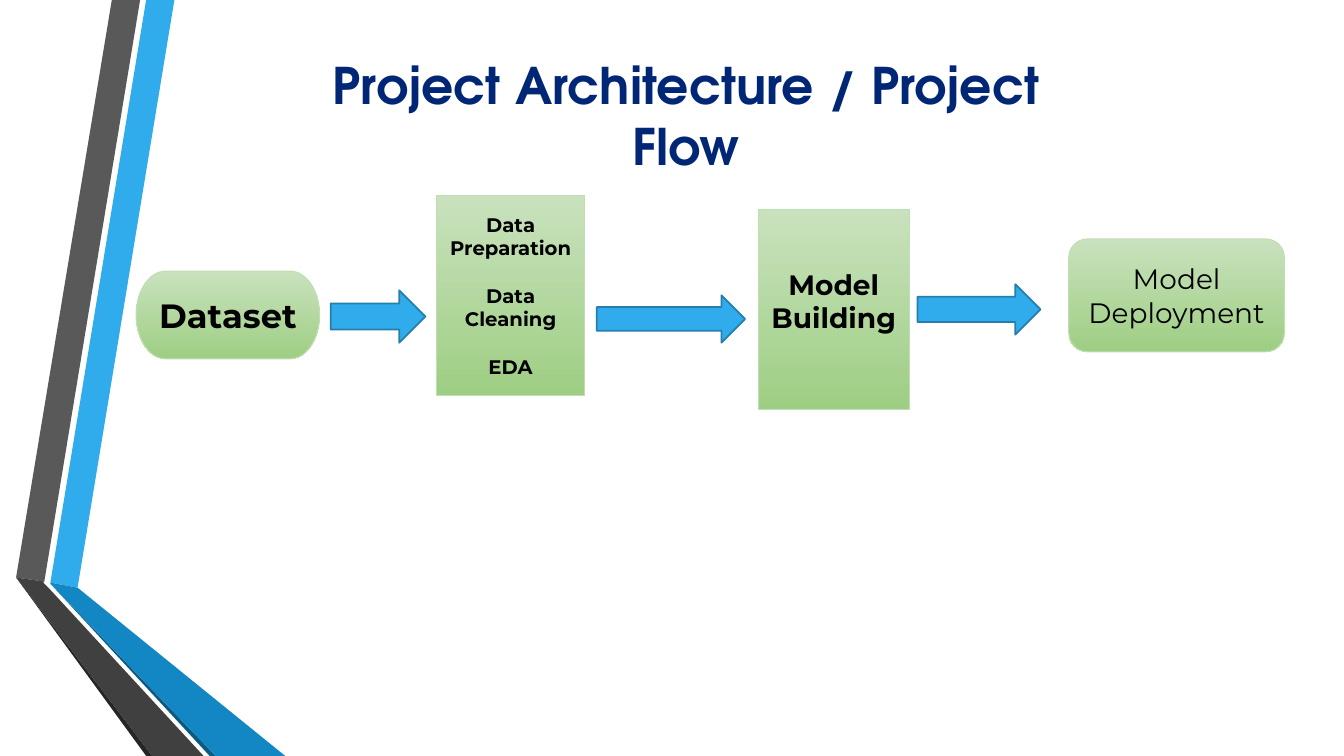
"""Build the project flow slide."""
from pptx import Presentation
from pptx.dml.color import RGBColor
from pptx.enum.shapes import MSO_SHAPE
from pptx.enum.text import MSO_ANCHOR, PP_ALIGN
from pptx.util import Inches, Pt

PILL = MSO_SHAPE.FLOWCHART_TERMINATOR
RECT = MSO_SHAPE.RECTANGLE
ROUND = MSO_SHAPE.ROUNDED_RECTANGLE
ARROW = MSO_SHAPE.RIGHT_ARROW
MIDDLE = MSO_ANCHOR.MIDDLE
CENTER = PP_ALIGN.CENTER

BLACK = RGBColor(0x00, 0x00, 0x00)
NAVY = RGBColor(0x00, 0x27, 0x76)
BLUE = RGBColor(0x30, 0xAC, 0xEC)
EDGE = RGBColor(0x24, 0x7F, 0xAF)
DEEP = RGBColor(0x12, 0x87, 0xC3)
DARK = RGBColor(0x0C, 0x5A, 0x82)
GRAY = RGBColor(0x59, 0x59, 0x59)
COAL = RGBColor(0x40, 0x40, 0x40)
INK = RGBColor(0x26, 0x26, 0x26)
PALE = RGBColor(0xC9, 0xE2, 0xBE)
GREEN = RGBColor(0x9E, 0xCE, 0x83)
RIM = RGBColor(0xC0, 0xDE, 0xB3)

TITLE = "Project Architecture / Project Flow"
TITLE_BOX = (2.63, 0.49, 8.35, 1.31)

BANDS = [
    (BLUE, [(0.5, 5.78), (0.77, 5.83), (1.73, 0), (1.45, 0)]),
    (GRAY, [(1.39, 0), (1.11, 0), (0.16, 5.73), (0.44, 5.77)]),
    (INK, [(0.16, 5.73), (1.45, 7.5), (1.51, 7.5)]),
    (DARK, [(0.5, 5.79), (2.08, 7.5), (2.14, 7.5)]),
    (DEEP, [(0.5, 5.79), (2.14, 7.5), (2.83, 7.5), (0.77, 5.83), (0.5, 5.78)]),
    (COAL, [(2.02, 7.5), (0.48, 5.83), (0.43, 5.78), (0.44, 5.77),
            (0.16, 5.73), (1.51, 7.5)]),
]

STEPS = [
    (PILL, (1.35, 2.69, 1.82, 0.87), ["Dataset"], 24, True, 0.05),
    (RECT, (4.33, 1.94, 1.47, 1.98),
     ["Data Preparation", "Data Cleaning", "EDA"], 14, True, 0.05),
    (RECT, (7.52, 2.08, 1.5, 1.98), ["Model Building"], 20, True, 0.22),
    (ROUND, (10.6, 2.37, 2.14, 1.12), ["Model Deployment"], 20, False, 0.05),
]

ARROWS = [
    (3.28, 2.88, 0.94, 0.52),
    (5.92, 2.93, 1.47, 0.47),
    (9.1, 2.82, 1.22, 0.5),
]


def place(box):
    return [Inches(v) for v in box]


def write(frame, lines, font, size, color, bold):
    frame.word_wrap = True
    frame.text = "\n".join(lines)
    for i, para in enumerate(frame.paragraphs):
        para.alignment = CENTER
        para.space_before = Pt(17 if i else 0)
        face = para.runs[0].font
        face.name, face.size, face.bold = font, Pt(size), bold
        face.color.rgb = color


def add_band(shapes, color, points):
    start, *rest = [place(p) for p in points]
    pen = shapes.build_freeform(*start)
    pen.add_line_segments(rest, close=True)
    band = pen.convert_to_shape()
    band.shadow.inherit = False
    band.fill.solid()
    band.fill.fore_color.rgb = color
    band.line.fill.background()


def add_step(shapes, kind, box, lines, size, bold, foot):
    step = shapes.add_shape(kind, *place(box))
    step.shadow.inherit = False
    step.fill.gradient()
    step.fill.gradient_angle = 270
    for stop, color in zip(step.fill.gradient_stops, (PALE, GREEN)):
        stop.color.rgb = color
    for stop, spot in zip(step.fill.gradient_stops, (0, 1)):
        stop.position = spot
    step.line.color.rgb = RIM
    step.line.width = Pt(0.75)
    frame = step.text_frame
    frame.vertical_anchor = MIDDLE
    frame.margin_bottom = Inches(foot)
    write(frame, lines, "Montserrat", size, BLACK, bold)


def add_arrow(shapes, box):
    arrow = shapes.add_shape(ARROW, *place(box))
    arrow.shadow.inherit = False
    arrow.fill.solid()
    arrow.fill.fore_color.rgb = BLUE
    arrow.line.color.rgb = EDGE
    arrow.line.width = Pt(1.25)


def main():
    deck = Presentation()
    deck.slide_width, deck.slide_height = place((13.33, 7.5))
    shapes = deck.slides.add_slide(deck.slide_layouts[6]).shapes
    for band in BANDS:
        add_band(shapes, *band)
    for step in STEPS:
        add_step(shapes, *step)
    for box in ARROWS:
        add_arrow(shapes, box)
    title = shapes.add_textbox(*place(TITLE_BOX))
    write(title.text_frame, [TITLE], "TeX Gyre Adventor", 36, NAVY, True)
    deck.save("out.pptx")


if __name__ == "__main__":
    main()
